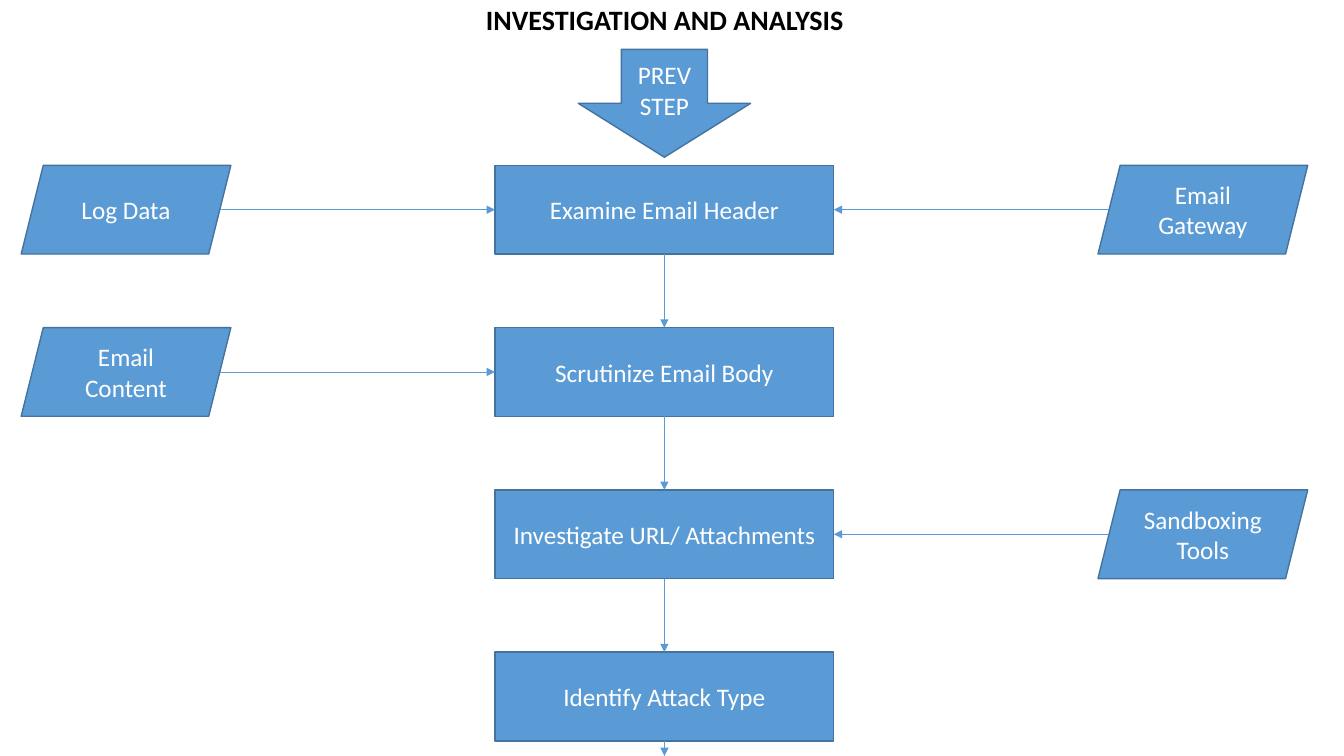
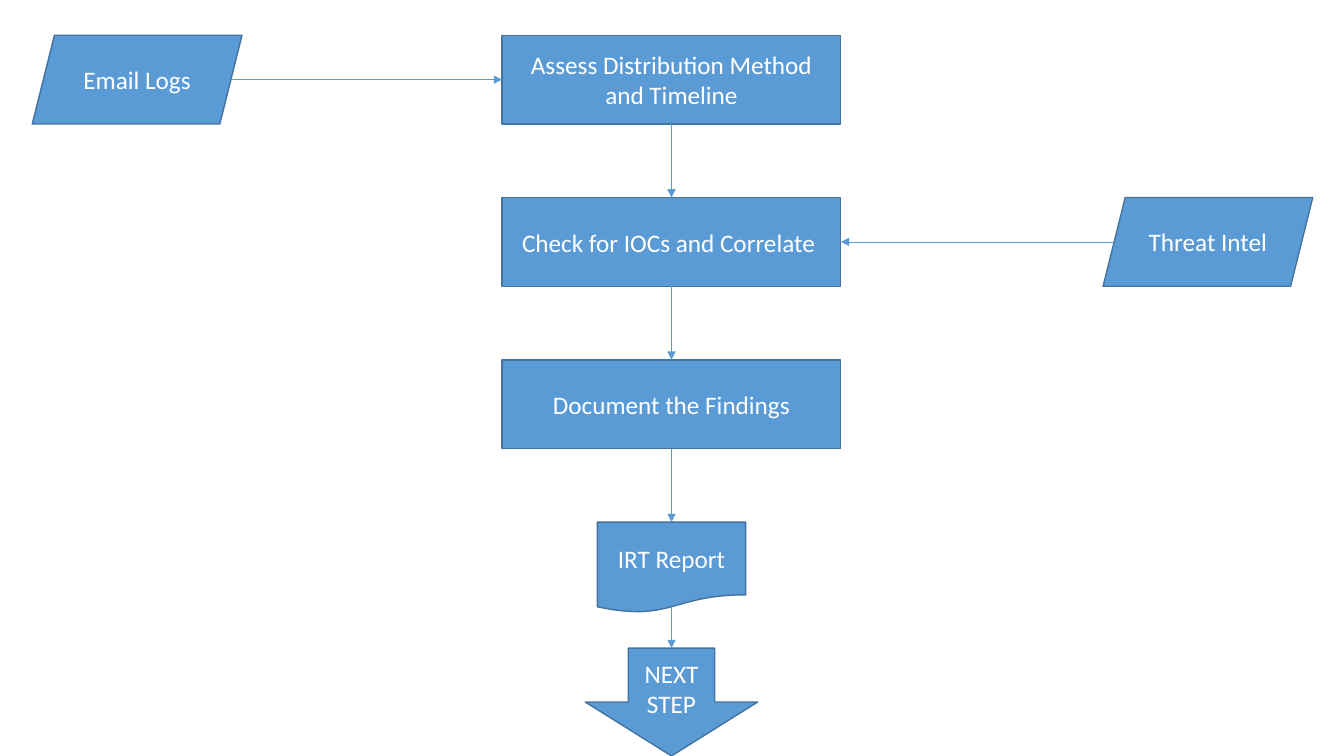
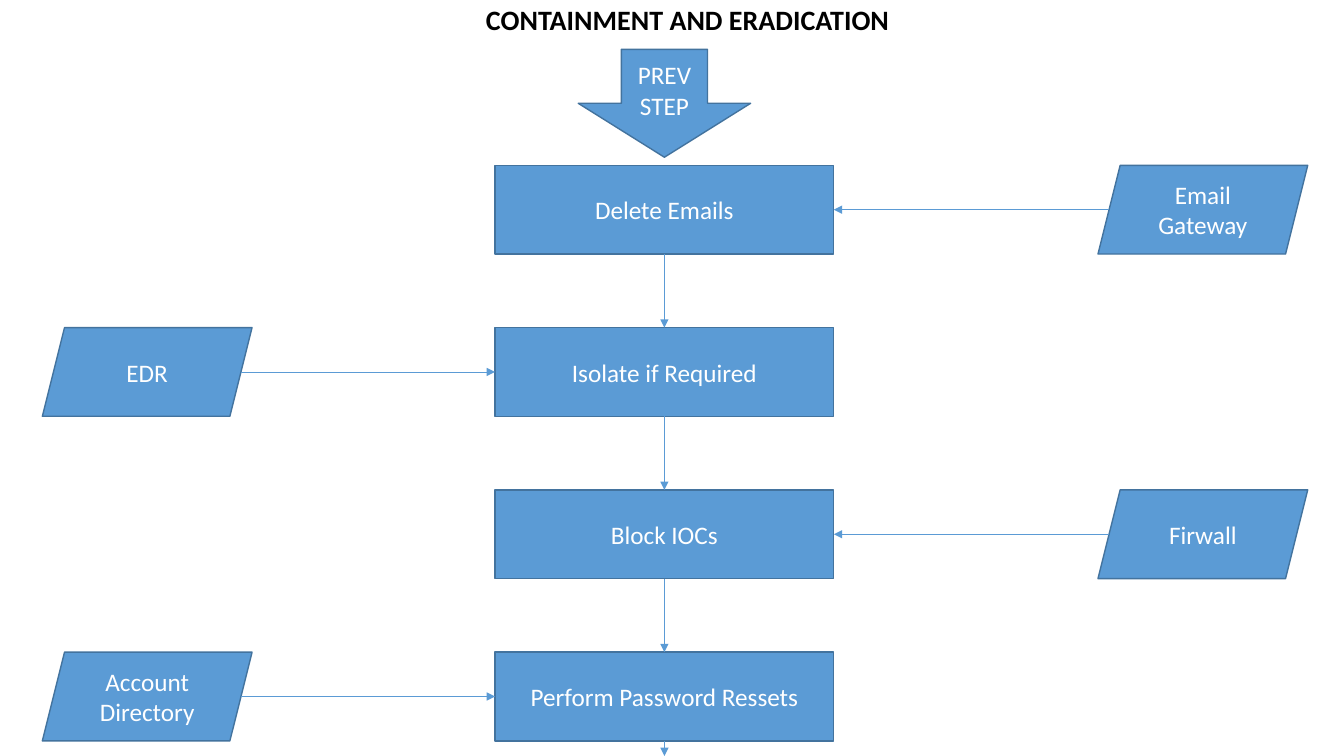
from pptx import Presentation
from pptx.dml.color import RGBColor
from pptx.enum import shapes, text
from pptx.oxml import ns
from pptx.util import Inches, Pt
from lxml import etree

KIND = shapes.MSO_SHAPE
FILL, EDGE = "5B9BD5", "43739E"
BODY = {"name": "Calibri", "size": Pt(18), "bold": False}
HEAD = {"name": "Calibri", "size": Pt(20), "bold": True}
STEP_W, SIDE_W, ROW_H, PITCH = 3.36, 2.08, 0.88, 1.61
ARROW_W, ARROW_H = 1.71, 1.07
SLANT = 0.11
PAGE_W, PAGE_H = 13.33, 7.5
TOP, LEFT, BOTTOM, RIGHT = range(4)


def rgb(code):
    return RGBColor.from_string(code)


def style(frame, look, color, align):
    for para in frame.paragraphs:
        para.alignment = align
        for key, value in look.items():
            setattr(para.font, key, value)
        para.font.color.rgb = rgb(color)


def block(slide, kind, box, words):
    shape = slide.shapes.add_shape(kind, *map(Inches, box))
    shape.shadow.inherit = False
    shape.fill.solid()
    shape.fill.fore_color.rgb = rgb(FILL)
    shape.line.color.rgb = rgb(EDGE)
    shape.line.width = Pt(1)
    shape.text_frame.text = words
    style(shape.text_frame, BODY, "FFFFFF", text.PP_ALIGN.CENTER)
    return shape


def arrow(slide, start, end, target=None, site=TOP):
    line = slide.shapes.add_connector(
        shapes.MSO_CONNECTOR.STRAIGHT, *map(Inches, start + end))
    if target is not None:
        line.end_connect(target, site)
    line.line.color.rgb = rgb(FILL)
    line.line.width = Pt(0.5)
    props = line.element.spPr
    tail = etree.SubElement(props.get_or_add_ln(), ns.qn("a:tailEnd"))
    tail.set("type", "triangle")
    etree.SubElement(props, ns.qn("a:effectLst"))


def title(slide, words, width):
    head = slide.shapes.title
    place = {"left": 4.72, "top": -0.03, "width": width, "height": 0.44}
    for key, value in place.items():
        setattr(head, key, Inches(value))
    frame = head.text_frame
    frame.text = words
    look = {"word_wrap": False, "auto_size": text.MSO_AUTO_SIZE.NONE,
            "vertical_anchor": text.MSO_ANCHOR.TOP}
    for key, value in look.items():
        setattr(frame, key, value)
    style(frame, HEAD, "000000", text.PP_ALIGN.LEFT)


def marker(slide, axis, top, words):
    box = axis - ARROW_W / 2, top, ARROW_W, ARROW_H
    return block(slide, KIND.DOWN_ARROW, box, words)


def flow(slide, axis, top, near, far, rows):
    west, east = axis - STEP_W / 2, axis + STEP_W / 2
    for i, (words, source, tool) in enumerate(rows):
        y = top + i * PITCH
        mid = y + ROW_H / 2
        step = block(slide, KIND.RECTANGLE, (west, y, STEP_W, ROW_H), words)
        if i:
            arrow(slide, (axis, y - PITCH + ROW_H), (axis, y), step)
        if source:
            block(slide, KIND.PARALLELOGRAM, (near, y, SIDE_W, ROW_H), source)
            arrow(slide, (near + SIDE_W - SLANT, mid), (west, mid), step, LEFT)
        if tool:
            block(slide, KIND.PARALLELOGRAM, (far, y, SIDE_W, ROW_H), tool)
            arrow(slide, (far + SLANT, mid), (east, mid), step, RIGHT)
    return y + ROW_H


def opening(deck, words, width, near, rows):
    slide = deck.slides.add_slide(deck.slide_layouts[5])
    axis = 6.59
    title(slide, words, width)
    marker(slide, axis, 0.49, "PREV\nSTEP")
    end = flow(slide, axis, 1.64, near, 10.89, rows)
    arrow(slide, (axis, end), (axis, PAGE_H))


def closing(deck, rows):
    slide = deck.slides.add_slide(deck.slide_layouts[6])
    axis, width, height = 6.66, 1.47, 0.9
    end = flow(slide, axis, 0.35, 0.32, 10.94, rows)
    top = end + PITCH - ROW_H
    box = axis - width / 2, top, width, height
    report = block(slide, KIND.FLOWCHART_DOCUMENT, box, "IRT Report")
    arrow(slide, (axis, end), (axis, top), report)
    last = PAGE_H - ARROW_H
    following = marker(slide, axis, last, "NEXT\nSTEP")
    arrow(slide, (axis, 6.02), (axis, last), following)


def main():
    deck = Presentation()
    deck.slide_width, deck.slide_height = Inches(PAGE_W), Inches(PAGE_H)
    opening(deck, "INVESTIGATION AND ANALYSIS", 3.88, 0.21, [
        ("Examine Email Header", "Log Data", "Email Gateway"),
        ("Scrutinize Email Body", "Email Content", None),
        ("Investigate URL/ Attachments", None, "Sandboxing Tools"),
        ("Identify Attack Type", None, None),
    ])
    closing(deck, [
        ("Assess Distribution Method and Timeline", "Email Logs", None),
        ("Check for IOCs and Correlate ", None, "Threat Intel"),
        ("Document the Findings", None, None),
    ])
    opening(deck, "CONTAINMENT AND ERADICATION", 4.28, 0.42, [
        ("Delete Emails", None, "Email Gateway"),
        ("Isolate if Required", "EDR", None),
        ("Block IOCs", None, "Firwall"),
        ("Perform Password Ressets", "Account Directory", None),
    ])
    deck.save("out.pptx")


if __name__ == "__main__":
    main()
